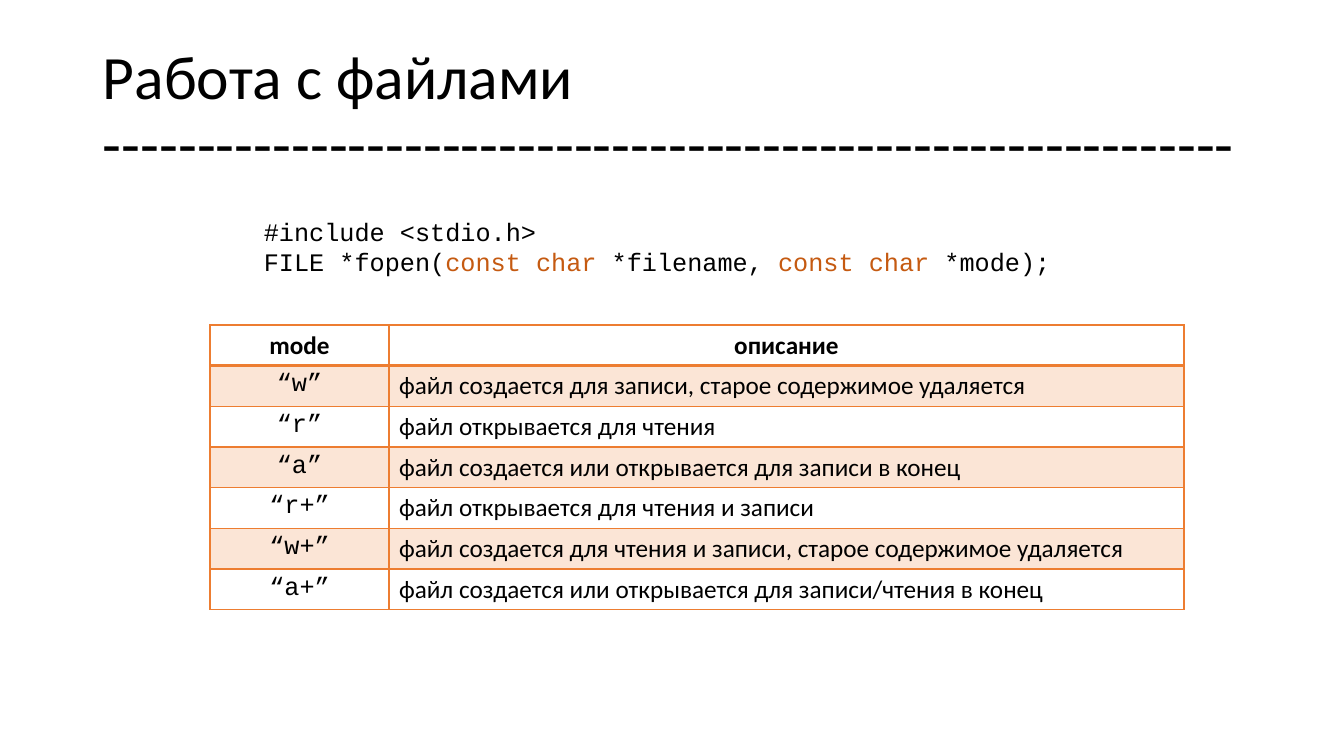
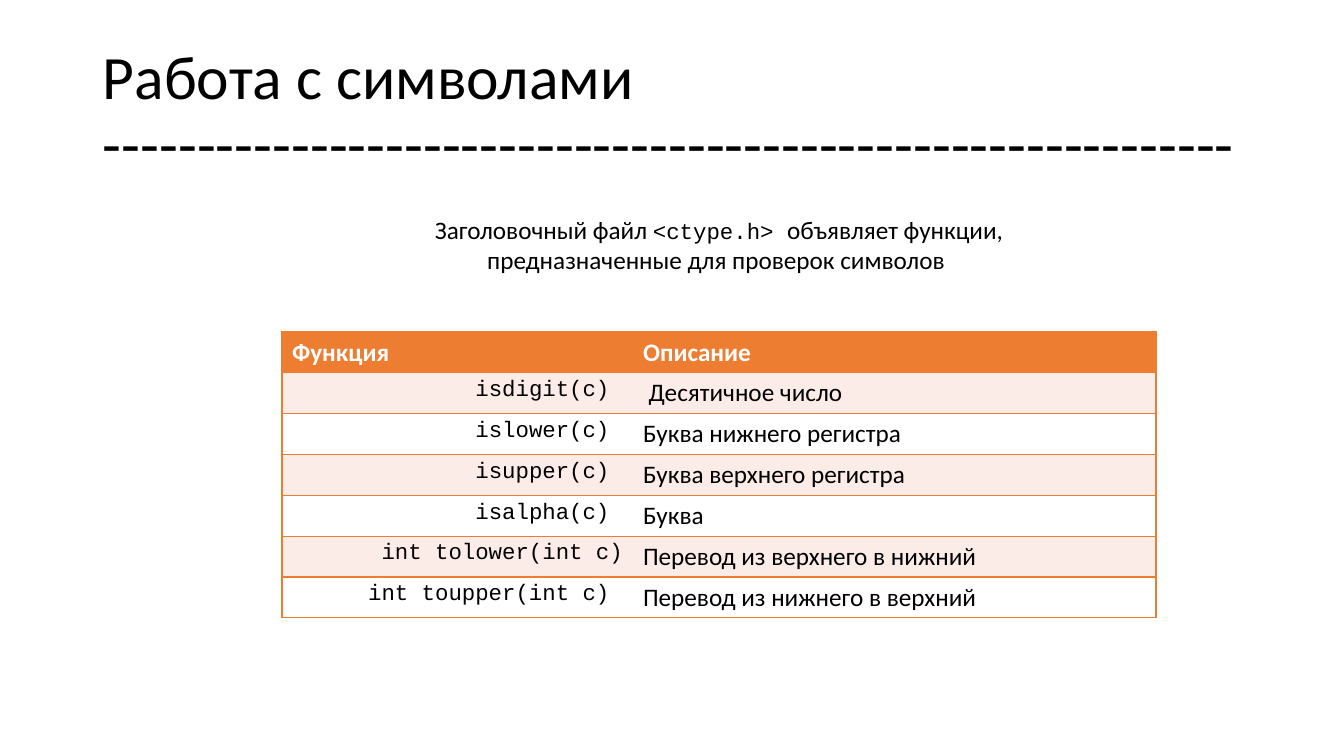
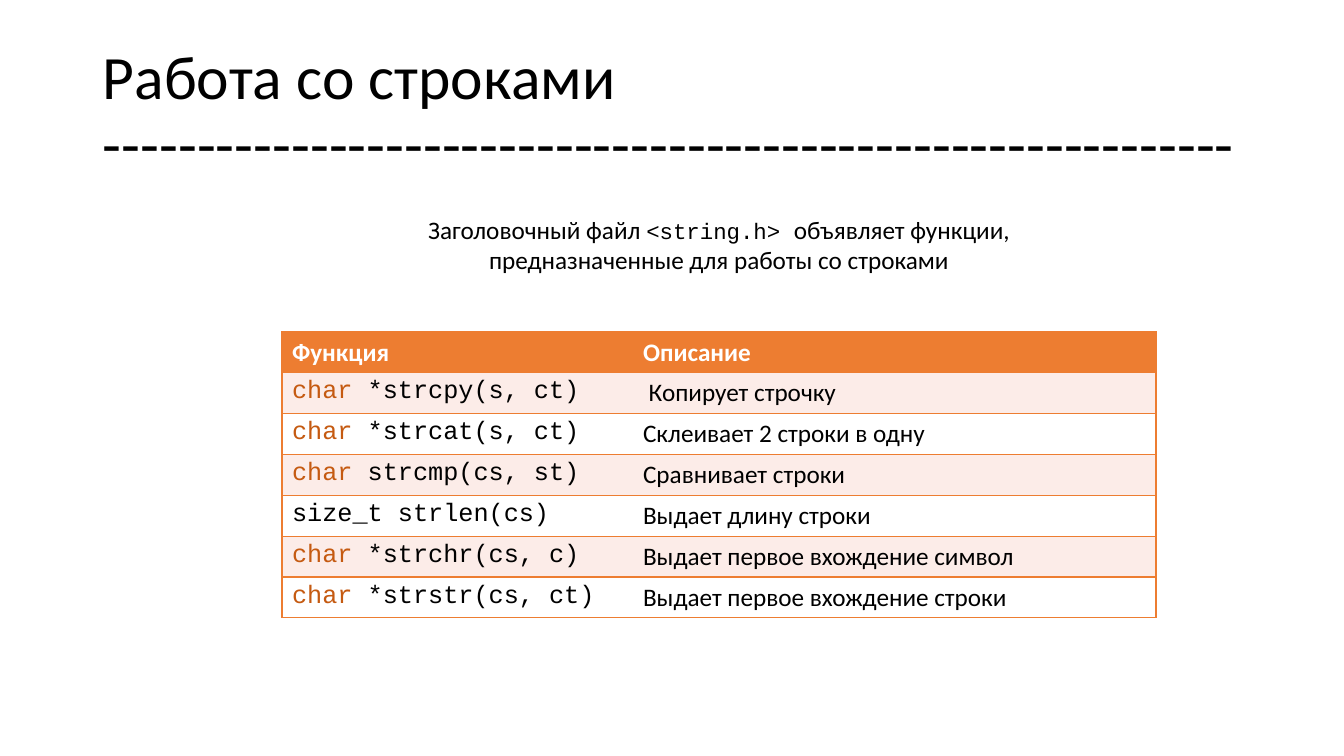
from lxml import etree
from pptx import Presentation
from pptx.dml.color import RGBColor
from pptx.enum.text import MSO_ANCHOR, MSO_AUTO_SIZE, PP_ALIGN
from pptx.oxml.ns import qn
from pptx.util import Pt

PX = 914400 / 100.8
LEFT, CENTER, RIGHT = PP_ALIGN.LEFT, PP_ALIGN.CENTER, PP_ALIGN.RIGHT
MIDDLE, GROW = MSO_ANCHOR.MIDDLE, MSO_AUTO_SIZE.SHAPE_TO_FIT_TEXT
NO_GRID = "{2D5ABB26-0587-4C30-8999-92F81FD0307C}"

ORANGE, BLACK, WHITE = "ED7D31", "000000", "FFFFFF"
PEACH, ROSE = "FBE5D6", "FCECE8"

BODY = {"name": "Calibri", "size": Pt(18), "bold": False, "color": BLACK}
TITLE = {**BODY, "size": Pt(44)}
HEAD = {**BODY, "bold": True}
WHITE_HEAD = {**HEAD, "color": WHITE}
CODE = {**BODY, "name": "Courier New"}
SMALL_CODE = {**CODE, "size": Pt(16)}
KEYWORD = {**CODE, "color": "C55A11"}

TITLE_BOX = (93, 40, 1159, 146)
INTRO_BOX = (383, 209, 672, 72)
FUNCTIONS_BOX = (282, 332, 874, 286)


def px(n):
    return round(n * PX)


def rgb(code):
    return RGBColor.from_string(code)


def set_attrs(obj, values):
    for name, value in values.items():
        setattr(obj, name, value)


def set_font(r, style):
    set_attrs(r.font, {k: v for k, v in style.items() if k != "color"})
    r.font.color.rgb = rgb(style["color"])


def fill_paragraph(p, runs, align=LEFT):
    p.alignment = align
    for text, style in runs:
        r = p.add_run()
        r.text = text
        set_font(r, style)


def add_text(s, box, lines, align=LEFT, **frame):
    tf = s.shapes.add_textbox(*map(px, box)).text_frame
    set_attrs(tf, {"word_wrap": True, **frame})
    for i, runs in enumerate(lines):
        p = tf.add_paragraph() if i else tf.paragraphs[0]
        fill_paragraph(p, runs, align)
    return tf


def add_title(s, box, title):
    tf = add_text(s, box, [], vertical_anchor=MIDDLE)
    p = tf.paragraphs[0]
    p.text = title + "\v" + "-" * 60
    p.line_spacing = 0.9
    for r in p.runs:
        set_font(r, TITLE)


def set_borders(cell, widths):
    tcPr = cell._tc.get_or_add_tcPr()
    for i, side in enumerate("LRTB"):
        if side in widths:
            ln = etree.Element(qn("a:ln" + side), w=str(Pt(widths[side])))
            fill = etree.SubElement(ln, qn("a:solidFill"))
            etree.SubElement(fill, qn("a:srgbClr"), val=ORANGE)
            tcPr.insert(min(i, len(tcPr)), ln)


def add_grid(s, box, first_width, rows, aligns, fills, borders):
    x, y, w, h = box
    tbl = s.shapes.add_table(len(rows), 2, *map(px, box)).table
    tblPr = tbl._tbl.tblPr
    tblPr.find(qn("a:tableStyleId")).text = NO_GRID
    set_attrs(tbl, {"first_row": False, "horz_banding": False})
    for col, width in zip(tbl.columns, (first_width, w - first_width)):
        col.width = px(width)
    head_fill, *bands = fills
    for i, row in enumerate(rows):
        tbl.rows[i].height = px(h / len(rows))
        for j, runs in enumerate(row):
            cell = tbl.cell(i, j)
            cell.fill.solid()
            cell.fill.fore_color.rgb = rgb(bands[(i - 1) % 2] if i else head_fill)
            fill_paragraph(cell.text_frame.paragraphs[0], runs, aligns[min(i, 1)][j])
            set_borders(cell, borders(i, j))


def mode_borders(i, j):
    return {"L": 1, "R": 1, "T": 2 if i == 1 else 1, "B": 1 if i else 2}


def function_borders(i, j):
    return {"R" if j else "L": 1, "T": 1, "B": 1}


def new_slide(title):
    s = prs.slides.add_slide(prs.slide_layouts[6])
    add_title(s, TITLE_BOX, title)
    return s


def files_slide(title, code, modes):
    s = new_slide(title)
    add_text(s, (254, 211, 836, 72), code, word_wrap=False, auto_size=GROW)
    rows = [([("mode", HEAD)], [("описание", HEAD)])]
    rows += [([(f"“{mode}”", CODE)], [(text, BODY)]) for mode, text in modes]
    add_grid(s, (210, 325, 974, 285), 179, rows,
             ((CENTER, CENTER), (CENTER, LEFT)), (WHITE, PEACH, WHITE), mode_borders)


def functions_slide(title, header, purpose, functions, align):
    s = new_slide(title)
    intro = [("Заголовочный файл ", BODY), (f"<{header}> ", SMALL_CODE),
             (f"объявляет функции, предназначенные для {purpose}", BODY)]
    add_text(s, INTRO_BOX, [intro], CENTER, auto_size=GROW)
    rows = [([("Функция", WHITE_HEAD)], [("Описание", WHITE_HEAD)])]
    rows += [(runs, [(text, BODY)]) for runs, text in functions]
    add_grid(s, FUNCTIONS_BOX, 351, rows,
             ((LEFT, LEFT), (align, LEFT)), (ORANGE, ROSE, WHITE), function_borders)


prs = Presentation()
set_attrs(prs, {"slide_width": px(1344), "slide_height": px(756)})

files_slide("Работа с файлами ", [
    [("#include <stdio.h>", CODE)],
    [("FILE *fopen(", CODE), ("const char", KEYWORD), (" *filename, ", CODE),
     ("const char ", KEYWORD), ("*mode); ", CODE)],
], [
    ("w", "файл создается для записи, старое содержимое удаляется"),
    ("r", "файл открывается для чтения"),
    ("a", "файл создается или открывается для записи в конец"),
    ("r+", "файл открывается для чтения и записи"),
    ("w+", "файл создается для чтения и записи, старое содержимое удаляется"),
    ("a+", "файл создается или открывается для записи/чтения в конец"),
])

functions_slide("Работа с символами", "ctype.h", "проверок символов ", [
    ([(call, SMALL_CODE)], text) for call, text in (
        ("isdigit(c) ", " Десятичное число"),
        ("islower(c) ", "Буква нижнего регистра"),
        ("isupper(c) ", "Буква верхнего регистра"),
        ("isalpha(c) ", "Буква"),
        ("int tolower(int c)", "Перевод из верхнего в нижний"),
        ("int toupper(int c) ", "Перевод из нижнего в верхний"),
    )
], RIGHT)

functions_slide("Работа со строками", "string.h", "работы со строками", [
    ([(kind, KEYWORD if kind == "char" else CODE), (call, CODE)], text)
    for kind, call, text in (
        ("char", " *strcpy(s, ct) ", " Копирует строчку"),
        ("char", " *strcat(s, ct) ", "Склеивает 2 строки в одну"),
        ("char", " strcmp(cs, st) ", "Сравнивает строки"),
        ("size_t", " strlen(cs) ", "Выдает длину строки"),
        ("char", " *strchr(cs, c) ", "Выдает первое вхождение символ"),
        ("char", " *strstr(cs, ct) ", "Выдает первое вхождение строки"),
    )
], LEFT)

prs.save("out.pptx")
